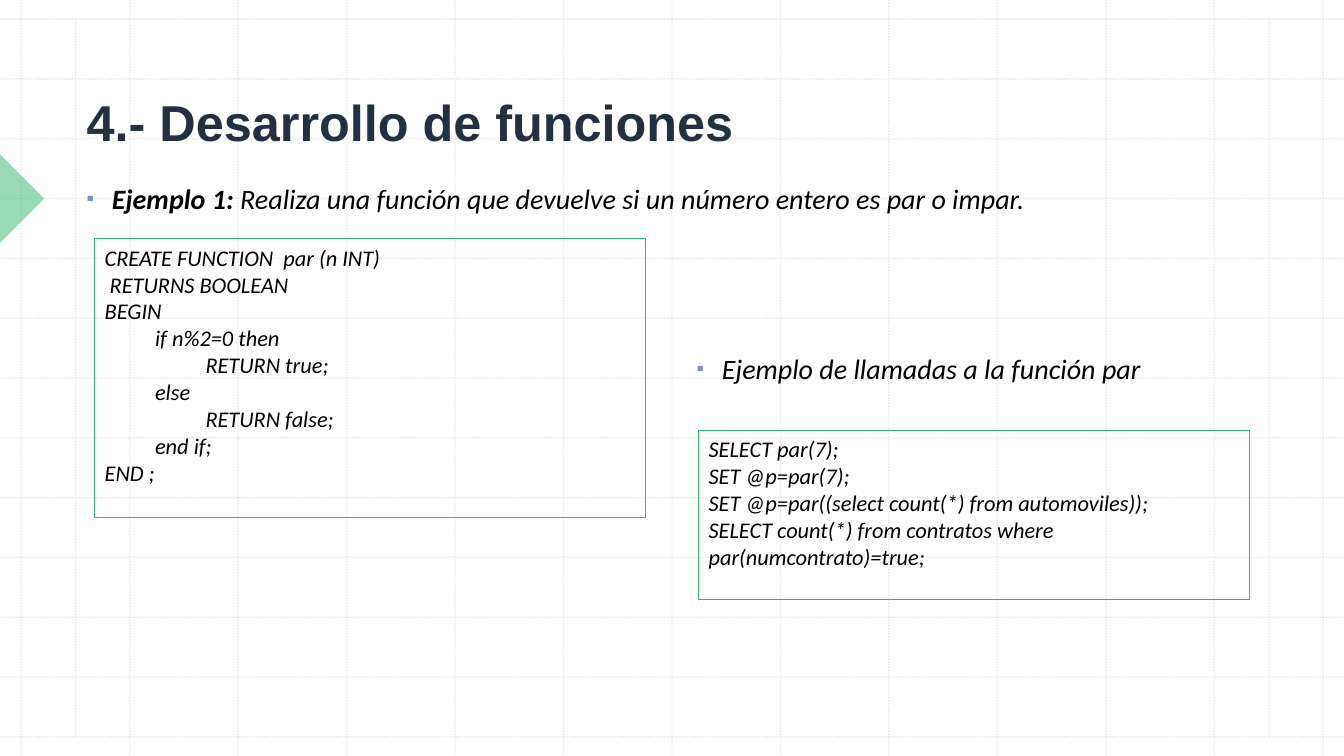
from lxml import etree
from pptx import Presentation
from pptx.dml.color import RGBColor
from pptx.enum.dml import MSO_LINE
from pptx.enum.shapes import MSO_CONNECTOR, MSO_SHAPE
from pptx.enum.text import MSO_ANCHOR, PP_ALIGN
from pptx.oxml.ns import qn
from pptx.util import Inches, Pt

STRAIGHT = MSO_CONNECTOR.STRAIGHT
DOTTED = MSO_LINE.ROUND_DOT
RECTANGLE, RIGHT_TRIANGLE = MSO_SHAPE.RECTANGLE, MSO_SHAPE.RIGHT_TRIANGLE
TOP, BOTTOM = MSO_ANCHOR.TOP, MSO_ANCHOR.BOTTOM
LEFT, JUSTIFY = PP_ALIGN.LEFT, PP_ALIGN.JUSTIFY

WHITE = RGBColor(0xFF, 0xFF, 0xFF)
BLACK = RGBColor(0, 0, 0)
NAVY = RGBColor(0x24, 0x2F, 0x41)
GREEN = RGBColor(0x31, 0xB8, 0x6F)
GRID_GREY = RGBColor(0xBC, 0xBC, 0xBC)
BULLET_BLUE = "7B92B6"

# Content: positions are left, top, width, height in inches
WIDTH, HEIGHT = 13.33, 7.5
TITLE = "4.- Desarrollo de funciones"
TITLE_AREA = (0.76, 0.79, 11.29, 0.76)

# Placeholder index, area, runs as (text, bold)
BULLETS = [
    (1, (0.76, 1.72, 11.29, 4.74), [
        ("Ejemplo 1: ", True),
        ("Realiza una función que devuelve si un número entero es par o impar.", False),
    ]),
    (2, (6.81, 3.4, 5.59, 3.99), [("Ejemplo de llamadas a la función par", False)]),
]

CODE_BOXES = [
    ((0.94, 2.37, 5.46, 2.76), [
        "CREATE FUNCTION  par (n INT)",
        " RETURNS BOOLEAN",
        "BEGIN",
        "\tif n%2=0 then",
        "\t\tRETURN true;",
        "\telse",
        "\t\tRETURN false;",
        "\tend if;",
        "END ;",
    ]),
    ((6.93, 4.27, 5.46, 1.68), [
        "SELECT par(7);",
        "SET @p=par(7);",
        "SET @p=par((select count(*) from automoviles));",
        "SELECT count(*) from contratos where par(numcontrato)=true;",
    ]),
]

# Background grid
GRID_COUNT = 13
FIRST_COLUMN, LAST_COLUMN = 0.21, 13.12
FIRST_ROW, LAST_ROW = 0.19, 7.31
MARGIN_COLUMNS = (0.75, 12.59)
MARKER_SIZE, MARKER_MIDDLE = 0.62, 1.97


def evenly(first, last):
    step = (last - first) / (GRID_COUNT - 1)
    return [first + step * index for index in range(GRID_COUNT)]


def set_opacity(shape, percent):
    color = next(shape.element.spPr.iter(qn("a:srgbClr")))
    etree.SubElement(color, qn("a:alpha"), val=str(percent * 1000))


def add_grid_line(page, *ends):
    line = page.shapes.add_connector(STRAIGHT, *[Inches(end) for end in ends])
    line.line.color.rgb = GRID_GREY
    line.line.width = Pt(1)
    line.line.dash_style = DOTTED
    set_opacity(line, 30)
    etree.SubElement(line.element.spPr, qn("a:effectLst"))


def place(shape, area):
    shape.left, shape.top, shape.width, shape.height = [Inches(value) for value in area]


def set_font(font, name, size, color, bold=None, italic=None):
    font.name, font.size = name, Pt(size)
    font.color.rgb = color
    font.bold, font.italic = bold, italic


def add_square_bullet(para):
    props = para._p.get_or_add_pPr()
    props.set("marL", str(Inches(0.25)))
    props.set("indent", str(-Inches(0.25)))
    color = etree.SubElement(props, qn("a:buClr"))
    etree.SubElement(color, qn("a:srgbClr"), val=BULLET_BLUE)
    etree.SubElement(props, qn("a:buSzPct"), val="75000")
    etree.SubElement(props, qn("a:buChar"), char="▪")


def add_background(page):
    for x in evenly(FIRST_COLUMN, LAST_COLUMN):
        add_grid_line(page, x, 0, x, HEIGHT)
    for y in evenly(FIRST_ROW, LAST_ROW):
        add_grid_line(page, 0, y, WIDTH, y)
    for x in MARGIN_COLUMNS:
        add_grid_line(page, x, FIRST_ROW, x, LAST_ROW)

    # Green marker at the left edge
    half = MARKER_SIZE / 2
    marker = page.shapes.add_shape(
        RIGHT_TRIANGLE, Inches(-half), Inches(MARKER_MIDDLE - half),
        Inches(MARKER_SIZE), Inches(MARKER_SIZE))
    marker.rotation = 225
    marker.shadow.inherit = False
    marker.fill.solid()
    marker.fill.fore_color.rgb = GREEN
    set_opacity(marker, 50)
    marker.line.fill.background()


def fill_title(title):
    place(title, TITLE_AREA)
    title.text_frame.text = TITLE
    title.text_frame.vertical_anchor = BOTTOM
    para = title.text_frame.paragraphs[0]
    para.alignment = LEFT
    set_font(para.font, "Arial", 36, NAVY, bold=True)


def fill_bullet(holder, area, runs):
    place(holder, area)
    holder.text_frame.vertical_anchor = TOP
    para = holder.text_frame.paragraphs[0]
    para.alignment = JUSTIFY
    para.line_spacing = 1.1
    para.space_before = Pt(10)
    add_square_bullet(para)
    set_font(para.font, "Calibri", 20, BLACK, italic=True)
    for text, bold in runs:
        span = para.add_run()
        span.text = text
        span.font.bold = bold


def add_code_box(page, area, lines):
    box = page.shapes.add_shape(RECTANGLE, *[Inches(value) for value in area])
    box.shadow.inherit = False
    box.fill.background()
    box.line.color.rgb = GREEN
    box.line.width = Pt(0.75)
    frame = box.text_frame
    frame.word_wrap = True
    frame.vertical_anchor = TOP
    frame.text = "\n".join(lines)
    for para in frame.paragraphs:
        para.alignment = LEFT
        set_font(para.font, "Calibri", 16, BLACK, italic=True)


def main():
    deck = Presentation()
    deck.slide_width, deck.slide_height = Inches(WIDTH), Inches(HEIGHT)
    page = deck.slides.add_slide(deck.slide_layouts.get_by_name("Two Content"))
    page.background.fill.solid()
    page.background.fill.fore_color.rgb = WHITE
    holders = list(page.placeholders)

    add_background(page)

    # Title and lists go in front of the grid
    for holder in holders:
        holder.element.getparent().append(holder.element)
    fill_title(page.shapes.title)
    for index, area, runs in BULLETS:
        fill_bullet(page.placeholders[index], area, runs)

    for area, lines in CODE_BOXES:
        add_code_box(page, area, lines)

    deck.save("out.pptx")


if __name__ == "__main__":
    main()
